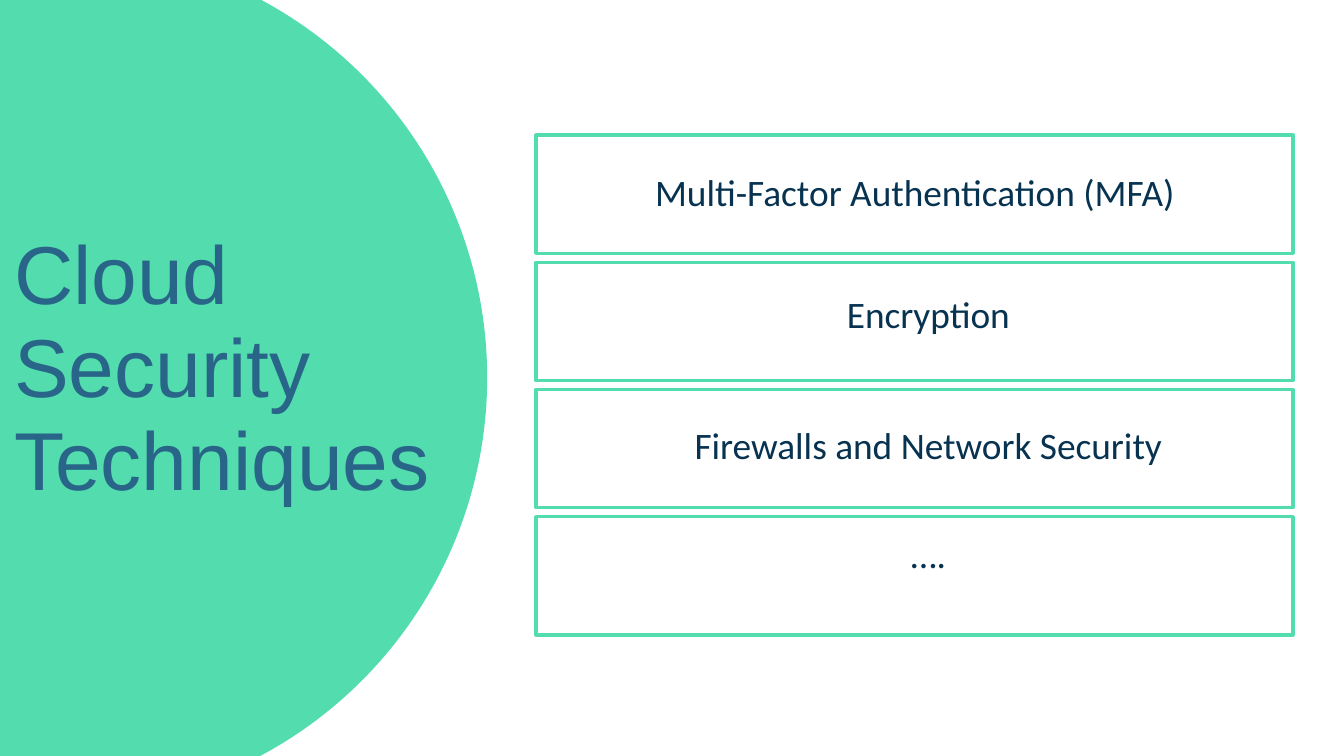
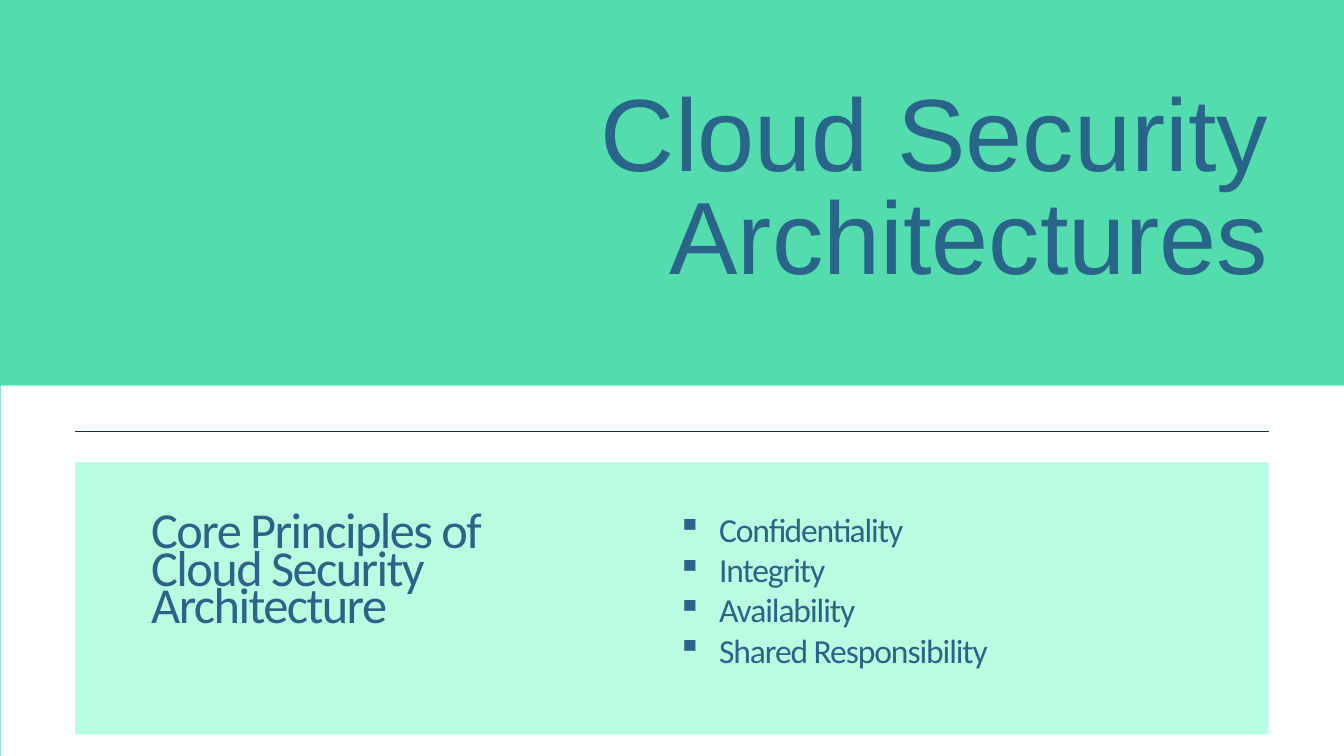
from dataclasses import dataclass

from lxml import etree
from pptx import Presentation
from pptx.dml.color import RGBColor
from pptx.enum.shapes import MSO_CONNECTOR, MSO_SHAPE
from pptx.enum.text import PP_ALIGN
from pptx.oxml.ns import qn
from pptx.util import Inches, Pt

RECTANGLE, OVAL = MSO_SHAPE.RECTANGLE, MSO_SHAPE.OVAL
STRAIGHT = MSO_CONNECTOR.STRAIGHT
LEFT, CENTER, RIGHT = PP_ALIGN.LEFT, PP_ALIGN.CENTER, PP_ALIGN.RIGHT

GREEN = RGBColor(0x53, 0xDC, 0xAD)
MINT = RGBColor(0xB8, 0xFF, 0xE1)
BLUE = RGBColor(0x28, 0x65, 0x88)
NAVY = RGBColor(0x07, 0x33, 0x51)
WHITE = RGBColor(0xFF, 0xFF, 0xFF)
OFF_WHITE = RGBColor(0xFF, 0xFD, 0xFC)

TITLE_FONT, BODY_FONT = "Arial", "Calibri"
SLIDE_W, SLIDE_H = 20, 11.25
MARGIN = 1.12
BULLET_INDENT = 0.62


@dataclass(frozen=True)
class Box:
    left: float
    top: float
    width: float
    height: float

    def lengths(self):
        return [Inches(v) for v in (self.left, self.top, self.width, self.height)]


@dataclass(frozen=True)
class Style:
    font: str
    size: float
    color: RGBColor
    line_pt: float | None = None
    align: PP_ALIGN = LEFT
    tracking: float = 0
    bullet: str = ""


@dataclass(frozen=True)
class Technique:
    label: str
    left: float
    top: float


TECHNIQUE_STYLE = Style(BODY_FONT, 40, NAVY, 40, CENTER)
HEADING_STYLE = Style(BODY_FONT, 54, BLUE, 40, tracking=-1.7)
PRINCIPLE_STYLE = Style(BODY_FONT, 36, BLUE, tracking=-1.2, bullet="▪")

TECHNIQUES = [
    Technique("Multi-Factor Authentication (MFA)", 9.55, 2.63),
    Technique("Encryption", 9.75, 4.45),
    Technique("Firewalls and Network Security", 9.75, 6.39),
    Technique("….", 9.75, 8.01),
]
PRINCIPLES = ["Confidentiality", "Integrity", "Availability", "Shared Responsibility"]


def add_slide(prs, background: RGBColor):
    slide = prs.slides.add_slide(prs.slide_layouts[6])
    slide.background.fill.solid()
    slide.background.fill.fore_color.rgb = background
    return slide


def add_panel(slide, box: Box, fill: RGBColor | None = None,
              outline: RGBColor | None = None, kind=RECTANGLE) -> None:
    panel = slide.shapes.add_shape(kind, *box.lengths())
    panel.shadow.inherit = False
    if fill is None:
        panel.fill.background()
    else:
        panel.fill.solid()
        panel.fill.fore_color.rgb = fill
    if outline is None:
        panel.line.fill.background()
    else:
        panel.line.color.rgb = outline
        panel.line.width = Pt(3.75)


def add_rule(slide, left: float, right: float, y: float) -> None:
    rule = slide.shapes.add_connector(
        STRAIGHT, Inches(left), Inches(y), Inches(right), Inches(y))
    rule.line.color.rgb = NAVY
    rule.line.width = Pt(0.75)
    etree.SubElement(rule._element.spPr, qn("a:effectLst"))


def style_paragraph(paragraph, style: Style) -> None:
    paragraph.alignment = style.align
    if style.line_pt:
        paragraph.line_spacing = Pt(style.line_pt)
    props = paragraph._p.get_or_add_pPr()
    if style.bullet:
        props.set("marL", str(Inches(BULLET_INDENT)))
        props.set("indent", str(-Inches(BULLET_INDENT)))
        etree.SubElement(props, qn("a:buChar")).set("char", style.bullet)
    font = paragraph.font
    font.name, font.size = style.font, Pt(style.size)
    font.color.rgb = style.color
    if style.tracking:
        for run in paragraph.runs:
            run._r.get_or_add_rPr().set("spc", str(round(style.tracking * 100)))


def add_text(slide, box: Box, lines: list[str], style: Style) -> None:
    frame = slide.shapes.add_textbox(*box.lengths()).text_frame
    frame.word_wrap = True
    frame.margin_left = frame.margin_right = 0
    frame.margin_top = frame.margin_bottom = 0
    frame.text = "\n".join(lines)
    for paragraph in frame.paragraphs:
        style_paragraph(paragraph, style)


def add_title(slide, box: Box, title: str, size: float, line_pt: float,
              align: PP_ALIGN = LEFT) -> None:
    add_text(slide, box, [title], Style(TITLE_FONT, size, BLUE, line_pt, align))


def build_techniques(prs) -> None:
    slide = add_slide(prs, WHITE)
    add_panel(slide, Box(-5.51, -0.76, 12.76, 12.76), GREEN, kind=OVAL)
    add_title(slide, Box(0.21, 3.38, 7.83, 4.21),
              "Cloud Security Techniques", 88, 100)
    # Stack of outlined boxes, each with its label
    for row, technique in enumerate(TECHNIQUES):
        add_panel(slide, Box(7.98, 2.01 + row * 1.893, 11.26, 1.76), outline=GREEN)
        add_text(slide, Box(technique.left, technique.top, 8.13, 0.56),
                 [technique.label], TECHNIQUE_STYLE)


def build_architectures(prs) -> None:
    slide = add_slide(prs, OFF_WHITE)
    # Green backdrop with a white lower half
    add_panel(slide, Box(0, 0, SLIDE_W, SLIDE_H), GREEN)
    add_panel(slide, Box(0.01, 5.74, SLIDE_W - 0.01, SLIDE_H - 5.74), WHITE)
    add_rule(slide, MARGIN, SLIDE_W - MARGIN, 6.42)
    add_title(slide, Box(7.67, 1.33, 11.21, 3.09),
              "Cloud Security Architectures", 110, 110, RIGHT)
    # Core principles
    add_panel(slide, Box(MARGIN, 6.88, SLIDE_W - 2 * MARGIN, 4.05), MINT)
    add_text(slide, Box(2.25, 7.76, 4.98, 2.27),
             ["Core Principles of Cloud Security Architecture"], HEADING_STYLE)
    add_text(slide, Box(10.08, 7.57, 7.01, 2.42), PRINCIPLES, PRINCIPLE_STYLE)


def main() -> None:
    prs = Presentation()
    prs.slide_width, prs.slide_height = Inches(SLIDE_W), Inches(SLIDE_H)
    build_techniques(prs)
    build_architectures(prs)
    prs.save("out.pptx")


if __name__ == "__main__":
    main()
